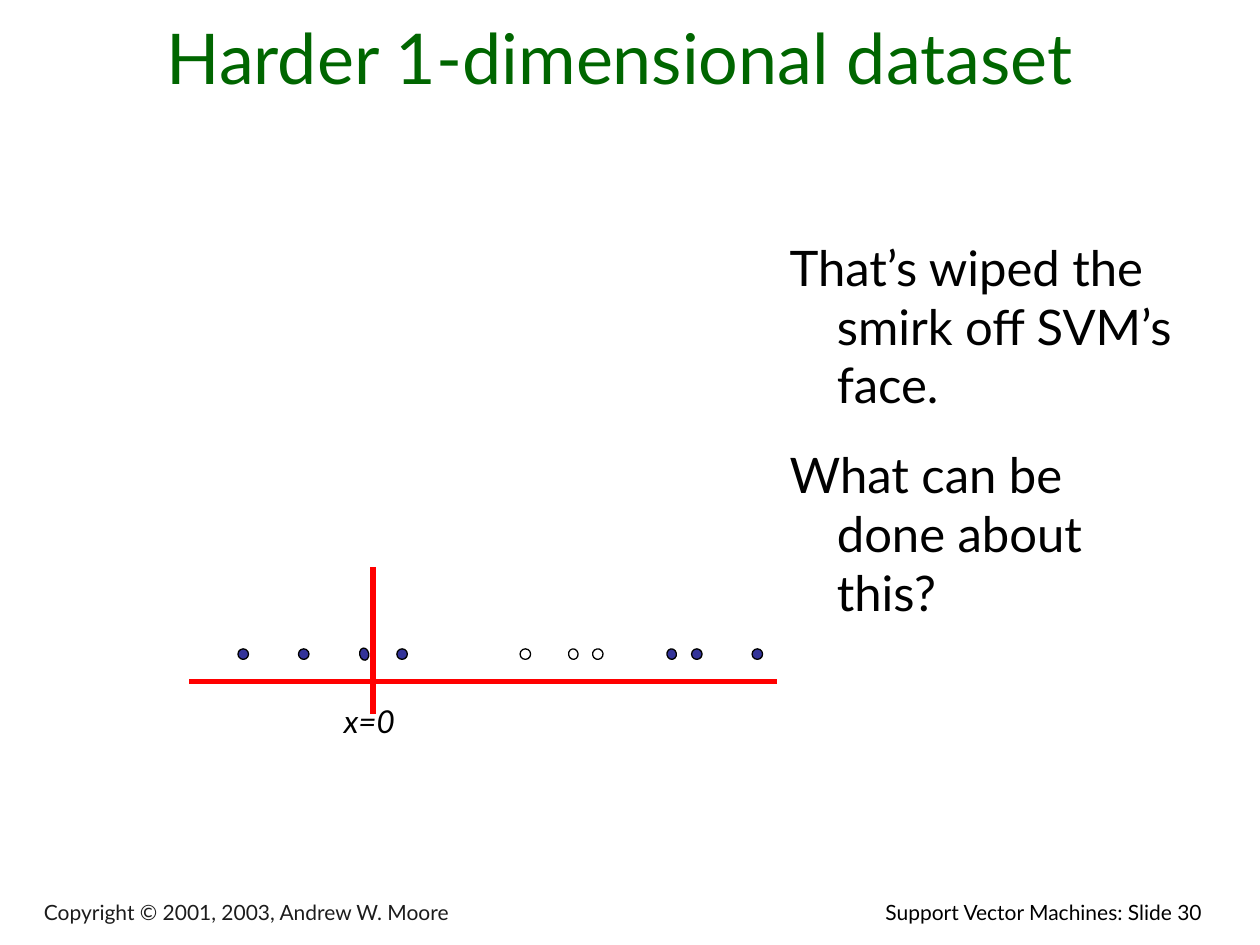
from typing import NamedTuple

from pptx import Presentation
from pptx.dml.color import RGBColor
from pptx.enum.shapes import MSO_CONNECTOR, MSO_SHAPE
from pptx.enum.text import MSO_ANCHOR, MSO_AUTO_SIZE, PP_ALIGN
from pptx.oxml.ns import qn
from pptx.util import Pt

FONT = "Lato"
BLACK, WHITE, RED, NAVY = "000000", "FFFFFF", "FF0000", "333399"
GREEN, CHARCOAL = "006600", "1C1C1C"
DOT_Y = 373.8
AXIS_Y, ORIGIN_X = 389.5, 213.1


class Dot(NamedTuple):
    center_x: float
    fill: str = NAVY
    width: float = 6
    height: float = 6
    rotation: float = 0


DOTS = [
    Dot(139), Dot(173.6),
    Dot(208.1, width=7, height=5.2, rotation=80),
    Dot(229.8),
    Dot(300.2, WHITE),
    Dot(327.6, WHITE, height=5.4, rotation=80),
    Dot(341.6, WHITE, rotation=80),
    Dot(383.8, height=5.4, rotation=80),
    Dot(398.2), Dot(432.8),
]


def color(value: str) -> RGBColor:
    return RGBColor.from_string(value)


def place(box, left: float, top: float, width: float, height: float):
    box.left, box.top = Pt(left), Pt(top)
    box.width, box.height = Pt(width), Pt(height)
    return box


def write(box, *texts: str, size: float, fill: str = BLACK, italic: bool = False,
          align=PP_ALIGN.LEFT, anchor=MSO_ANCHOR.TOP, hanging: float = 0,
          gap: float = 0) -> None:
    """Fill the box with one unbulleted paragraph per text."""
    frame = box.text_frame
    frame.word_wrap = True
    frame.auto_size = MSO_AUTO_SIZE.NONE
    frame.vertical_anchor = anchor
    for index, text in enumerate(texts):
        para = frame.paragraphs[0] if index == 0 else frame.add_paragraph()
        para.alignment = align
        para.space_before = Pt(gap if index else 0)
        properties = para._p.get_or_add_pPr()
        properties.set("marL", str(Pt(hanging)))
        properties.set("indent", str(-Pt(hanging)))
        properties.append(properties.makeelement(qn("a:buNone"), {}))
        span = para.add_run()
        span.text = text
        span.font.name = FONT
        span.font.size = Pt(size)
        span.font.italic = italic
        span.font.color.rgb = color(fill)


def add_text(page, bounds: tuple, text: str, **style) -> None:
    box = page.shapes.add_textbox(*map(Pt, bounds))
    write(box, text, **style)


def add_axis(page, *ends: float) -> None:
    axis = page.shapes.add_connector(MSO_CONNECTOR.STRAIGHT, *map(Pt, ends))
    axis.line.color.rgb = color(RED)
    axis.line.width = Pt(3)
    properties = axis._element.spPr
    properties.append(properties.makeelement(qn("a:effectLst"), {}))


def add_dot(page, dot: Dot) -> None:
    shape = page.shapes.add_shape(
        MSO_SHAPE.OVAL, Pt(dot.center_x - dot.width / 2),
        Pt(DOT_Y - dot.height / 2), Pt(dot.width), Pt(dot.height))
    shape.rotation = dot.rotation
    shape.shadow.inherit = False
    shape.fill.solid()
    shape.fill.fore_color.rgb = color(dot.fill)
    shape.line.color.rgb = color(BLACK)
    shape.line.width = Pt(0.75)


def main() -> None:
    deck = Presentation()
    deck.slide_width, deck.slide_height = Pt(720), Pt(540)
    page = deck.slides.add_slide(deck.slide_layouts[1])

    title = place(page.shapes.title, 18, 6, 672, 54)
    write(title, "Harder 1-dimensional dataset", size=40, fill=GREEN,
          align=PP_ALIGN.CENTER, anchor=MSO_ANCHOR.BOTTOM)
    body = place(page.placeholders[1], 444, 132, 234, 226.8)
    write(body, "That’s wiped the smirk off SVM’s face.",
          "What can be done about this?", size=28, hanging=27, gap=17.5)

    add_axis(page, ORIGIN_X, 324, ORIGIN_X, 408.2)
    add_axis(page, 108, AXIS_Y, 444, AXIS_Y)
    for dot in DOTS:
        add_dot(page, dot)
    add_text(page, (189.4, 397.4, 71.3, 28.8), "x=0", size=18, italic=True,
             hanging=27)

    add_text(page, (18, 511.9, 399.6, 20.2),
             "Copyright © 2001, 2003, Andrew W. Moore", size=12, fill=CHARCOAL,
             anchor=MSO_ANCHOR.BOTTOM)
    add_text(page, (411.8, 510.5, 282.2, 23.8),
             "Support Vector Machines: Slide 30", size=12, align=PP_ALIGN.RIGHT)
    deck.save("out.pptx")


if __name__ == "__main__":
    main()
